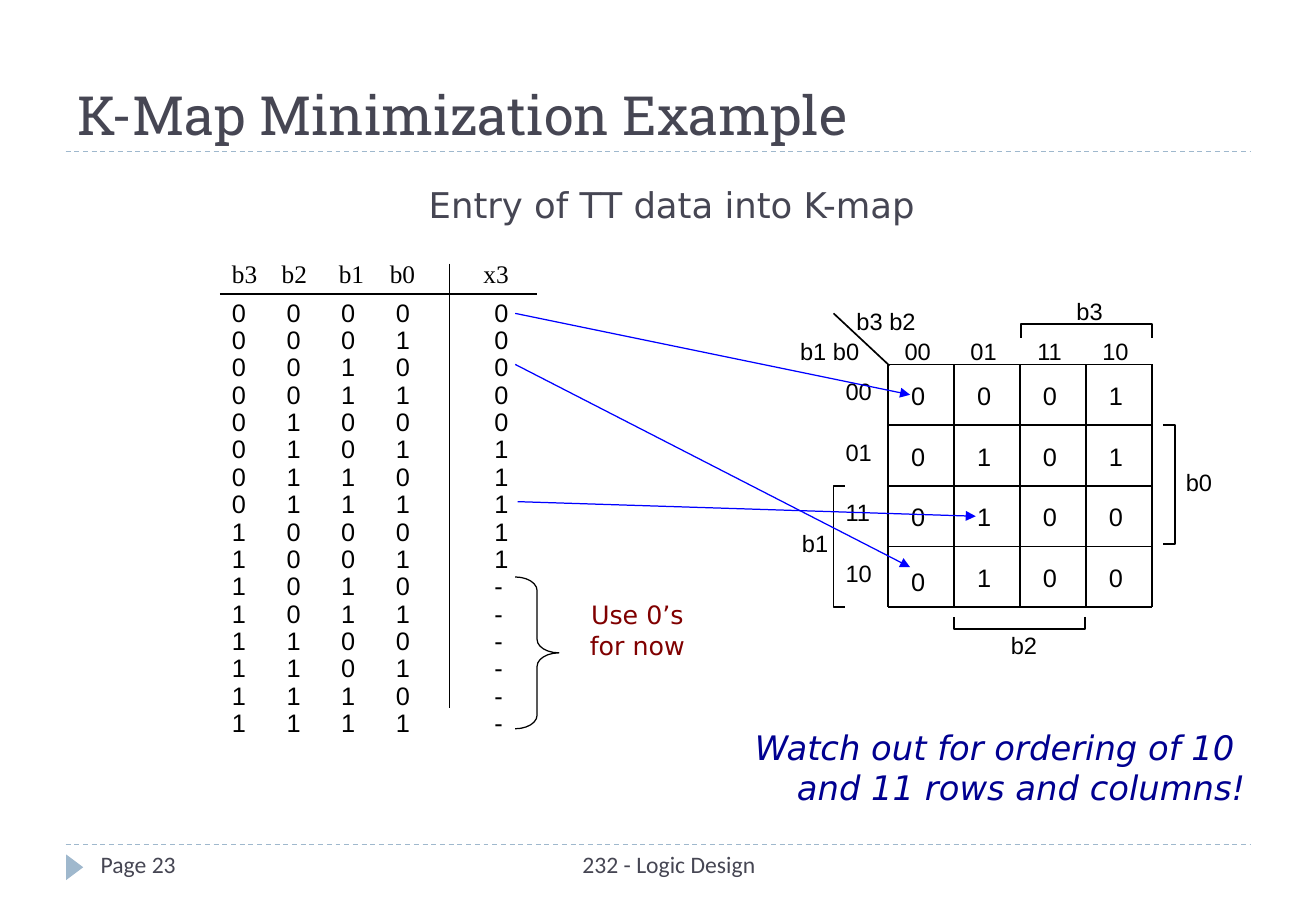
"""Builds a slide that maps a truth table onto a four-variable K-map."""
from lxml.etree import SubElement
from pptx import Presentation
from pptx.dml.color import RGBColor
from pptx.enum.dml import MSO_LINE
from pptx.enum.shapes import MSO_CONNECTOR, MSO_SHAPE
from pptx.enum.text import MSO_ANCHOR, PP_ALIGN
from pptx.oxml.ns import qn
from pptx.util import Inches, Pt

BLACK, SLATE, PALE, BLUE = "000000", "464653", "9FB8CD", "0000FF"
LEFT, CENTER, RIGHT = PP_ALIGN.LEFT, PP_ALIGN.CENTER, PP_ALIGN.RIGHT
TOP, MIDDLE, BOTTOM = MSO_ANCHOR.TOP, MSO_ANCHOR.MIDDLE, MSO_ANCHOR.BOTTOM
rgb = RGBColor.from_string

prs = Presentation()
prs.slide_width, prs.slide_height = Inches(10.83), Inches(7.5)
slide = prs.slides.add_slide(prs.slide_layouts[6])
shapes = slide.shapes


def add_text(text, box, size, font="Arial", color=BLACK, align=LEFT,
             anchor=TOP, spacing=1.0, wrap=False, italic=False):
    frame = shapes.add_textbox(*map(Inches, box)).text_frame
    frame.word_wrap, frame.vertical_anchor = wrap, anchor
    frame.text = text
    for paragraph in frame.paragraphs:
        paragraph.alignment, paragraph.line_spacing = align, spacing
        for run in paragraph.runs:
            run.font.name, run.font.size = font, Pt(size)
            run.font.italic, run.font.color.rgb = italic, rgb(color)


def add_line(start, end, color=BLACK, width=1.0, dashed=False, arrow=False):
    rule = shapes.add_connector(MSO_CONNECTOR.STRAIGHT, *map(Inches, start + end))
    rule.line.color.rgb, rule.line.width = rgb(color), Pt(width)
    if dashed:
        rule.line.dash_style = MSO_LINE.DASH
    if arrow:
        SubElement(rule.line._get_or_add_ln(), qn("a:tailEnd"), type="triangle")
    SubElement(rule._element.spPr, qn("a:effectLst"))


for y in (1.25, 6.95):
    add_line((0.54, y), (10.29, y), PALE, 0.75, dashed=True)
page_marker = shapes.add_shape(MSO_SHAPE.ISOSCELES_TRIANGLE, Inches(0.51),
                               Inches(7.07), Inches(0.21), Inches(0.14))
page_marker.rotation = 90
page_marker.shadow.inherit = False
page_marker.fill.solid()
page_marker.fill.fore_color.rgb = rgb(PALE)
page_marker.line.fill.background()
add_text("Page 23", (0.73, 6.95, 2.35, 0.4), 14, "Calibri", SLATE, wrap=True)
add_text("232 - Logic Design", (3.43, 6.95, 4.15, 0.4), 14, "Calibri", SLATE,
         CENTER, wrap=True)
add_text("K-Map Minimization Example", (0.54, 0.17, 9.75, 1.08), 32,
         "Roboto Slab", SLATE, anchor=BOTTOM, wrap=True)
add_text("Entry of TT data into K-map", (3.43, 1.46, 4.32, 0.45), 21,
         "DejaVu Sans", SLATE)

x3 = "0000011111------"
bits = [f"{minterm:04b}" for minterm in range(16)]
truth_columns = [
    ("b3", 1.81, 1.81), ("b2", 2.22, 2.26), ("b1", 2.69, 2.71),
    ("b0", 3.11, 3.16), ("x3", 3.88, 3.97),
]
for (name, name_x, x), values in zip(truth_columns, [*zip(*bits), x3]):
    add_text(name, (name_x, 2.08, 0.42, 0.36), 15, "Times New Roman")
    add_text("\n".join(values), (x, 2.42, 0.33, 3.8), 15, spacing=Pt(16.2))
add_line((1.81, 2.42), (4.42, 2.42))
add_line((3.7, 2.17), (3.7, 5.83))

map_x, map_y, map_w, map_h = 7.31, 3, 2.17, 2
cell_w, cell_h = map_w / 4, map_h / 4
for i in range(5):
    x, y = map_x + i * cell_w, map_y + i * cell_h
    add_line((x, map_y), (x, map_y + map_h))
    add_line((map_x, y), (map_x + map_w, y))
add_line((7.32, 3.01), (6.86, 2.58))

gray_code = (0, 1, 3, 2)
for i, code in enumerate(gray_code):
    label = f"{code:02b}"
    x = map_x + i * cell_w
    add_text(label + " ", (x, 2.75, 0.54, 0.31), 14, align=CENTER,
             spacing=0.9, wrap=True)
    add_text(label, (6.86, 3.08 + i * cell_h, 0.42, 0.31), 14, spacing=0.9)
    for j, row_code in enumerate(gray_code):
        y = 4.61 if (i, j) == (0, 3) else 3.08 + j * cell_h
        value = x3[code * 4 + row_code].replace("-", "0")
        add_text(value, (x + 0.09, y, 0.33, 0.36), 15)

for name, x, y, w, align in [
    ("b3 b2", 6.95, 2.5, 0.69, LEFT), ("b1 b0 ", 6.48, 2.75, 0.69, RIGHT),
    ("b3", 8.76, 2.42, 0.42, LEFT), ("b2", 8.22, 5.17, 0.42, LEFT),
    ("b1 ", 6.47, 4.33, 0.53, CENTER), ("b0", 9.66, 3.83, 0.42, LEFT),
]:
    add_text(name, (x, y, w, 0.31), 14, align=align, spacing=0.9)

for corners in [
    [(8.4, 2.78), (8.4, 2.67), (9.48, 2.67), (9.48, 2.78)],
    [(6.95, 5), (6.86, 5), (6.86, 4), (6.95, 4)],
    [(8.93, 5.08), (8.93, 5.18), (7.85, 5.18), (7.85, 5.08)],
    [(9.57, 3.5), (9.67, 3.5), (9.67, 4.48), (9.57, 4.48)],
]:
    points = [(Inches(x), Inches(y)) for x, y in corners]
    outline = shapes.build_freeform(*points[0])
    outline.add_line_segments(points[1:], close=False)
    bracket = outline.convert_to_shape()
    bracket.shadow.inherit = False
    bracket.fill.background()
    bracket.line.color.rgb, bracket.line.width = rgb(BLACK), Pt(1)

for start, end in [
    ((4.24, 2.58), (7.49, 3.25)),
    ((4.26, 4.13), (8.03, 4.25)),
    ((4.24, 3), (7.49, 4.67)),
]:
    add_line(start, end, BLUE, 0.75, arrow=True)

unused_brace = shapes.add_shape(MSO_SHAPE.RIGHT_BRACE, Inches(4.24),
                                Inches(4.75), Inches(0.36), Inches(1.25))
unused_brace.adjustments[0] = 0.31
unused_brace.shadow.inherit = False
unused_brace.fill.background()
unused_brace.line.color.rgb, unused_brace.line.width = rgb(BLACK), Pt(0.75)
add_text("Use 0’s \nfor now", (4.74, 4.88, 1.01, 0.61), 15, "DejaVu Sans",
         "800000", CENTER, MIDDLE)
add_text("Watch out for ordering of 10 \nand 11 rows and columns!",
         (6.03, 5.93, 4.32, 0.78), 20, "DejaVu Sans", "000090", RIGHT, italic=True)

prs.save("out.pptx")
